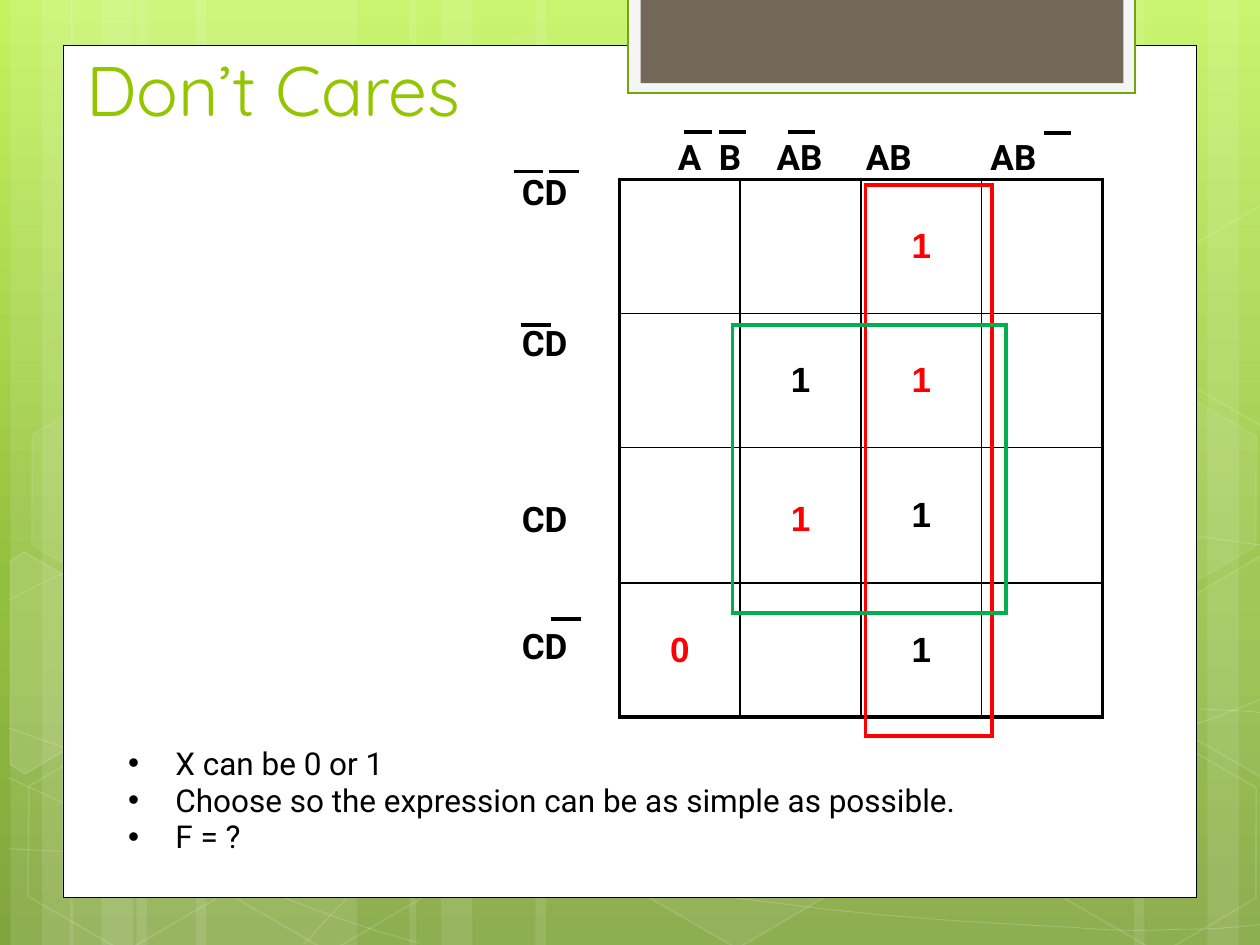
import math
from copy import deepcopy

from lxml import etree
from pptx import Presentation
from pptx import util as u
from pptx.dml.color import RGBColor
from pptx.enum import shapes, text
from pptx.oxml import ns

HUES = {
    "white": "FFFFFF", "black": "000000", "red": "FF0000", "green": "00B050",
    "lime": "94C600", "edge": "74A510", "pale": "F5F5F5", "taupe": "71685A",
    "top": "C3F35F", "mid": "93BF3F", "low": "81A53E",
}
STRIPS = [
    (78, 126), (6, 36), (24, 60), (112, 126), (40, 36), (58, 60),
    (528, 126), (690, 36), (648, 60), (306, 222), (234, 36), (252, 60),
]
WAVES = [
    [(5, 485), (44, 487), (83, 489), (137, 488), (191, 487), (258, 486), (330, 479),
     (402, 472), (504, 458), (570, 444), (636, 431), (703, 409), (725, 397)],
    [(5, 343), (26, 332), (47, 321), (87, 310), (128, 299), (186, 284), (250, 279),
     (314, 274), (391, 273), (471, 279), (550, 284), (682, 307), (725, 312)],
    [(4, 444), (91, 484), (178, 523), (240, 539)],
    [(5, 416), (27, 424), (50, 432), (92, 444), (134, 455), (197, 472), (257, 485),
     (317, 497), (392, 510), (452, 517), (512, 525), (576, 528), (614, 530),
     (652, 533), (662, 531), (680, 531), (698, 531), (712, 529), (725, 528)],
    [(174, 539), (187, 525), (200, 510), (217, 498), (235, 485), (259, 470), (279, 460),
     (300, 450), (312, 446), (338, 438), (364, 431), (413, 421), (438, 416),
     (464, 411), (467, 411), (490, 410), (512, 407), (547, 405), (572, 405),
     (597, 404), (638, 405), (638, 405), (654, 405), (670, 405), (686, 405),
     (699, 406), (711, 406), (718, 407), (724, 408), (722, 407), (724, 408)],
]
HEXES = [
    (240, 26, 4, 8), (358, 424, 6, 12), (8, 426, 0, 12), (10, 225, 7, 8),
    (125, 426, 0, 12), (542, 326, 10, 12), (600, 427, 0, 12), (600, 226, 7, 8),
]
LEFT = [(6, 320.4), (13.7, 315.4), (69.1, 347), (68.4, 410.4), (14.4, 442.1), (5.8, 437)]
RIGHT = [(666.7, 349.2), (720.7, 317.5), (726.5, 321.1), (726.5, 441.4),
         (721.4, 444.2), (666.7, 412.6)]
MARKS = {
    (0, 2): ("1", "red"), (1, 1): ("1", "black"), (1, 2): ("1", "red"),
    (2, 1): ("1", "red"), (2, 2): ("1", "black"),
    (3, 0): ("0", "red"), (3, 2): ("1", "black"),
}
BARS = [
    (391, 407, 75.6), (411, 426.5, 75.6), (450, 466, 75.6), (596.8, 612, 76),
    (293.8, 310.3, 98), (314, 331, 98), (297.5, 315, 185.8), (315, 332, 353.5),
]
NOTES = ["X can be 0 or 1", "Choose so the expression can be as simple as possible.", "F = ?"]


def hue(name):
    return RGBColor.from_string(HUES[name])


def paint(shape, fill=None, line=None, width=1, fade=100, dim=100):
    shape.shadow.inherit = False
    if fill:
        shape.fill.solid()
        shape.fill.fore_color.rgb = hue(fill)
    else:
        shape.fill.background()
    if line:
        shape.line.color.rgb = hue(line)
        shape.line.width = u.Pt(width)
        etree.SubElement(shape.line._get_or_add_ln(), ns.qn("a:miter"), lim="800000")
    else:
        shape.line.fill.background()
    props = shape._element.spPr
    for route, share in (("a:solidFill/a:srgbClr", fade), ("a:ln/a:solidFill/a:srgbClr", dim)):
        for tint in props.xpath(route):
            if share < 100:
                etree.SubElement(tint, ns.qn("a:alpha"), val=str(share * 1000))


def block(slide, box, kind=shapes.MSO_SHAPE.RECTANGLE, **look):
    shape = slide.shapes.add_shape(kind, *map(u.Pt, box))
    paint(shape, **look)
    return shape


def outline(slide, spots, close, **look):
    ends = [(u.Pt(x), u.Pt(y)) for x, y in spots]
    pen = slide.shapes.build_freeform(*ends[0], scale=1.0)
    pen.add_line_segments(ends[1:], close=close)
    shape = pen.convert_to_shape()
    paint(shape, line="white", **look)
    return shape


def wave(slide, spots):
    shape = outline(slide, spots, False, width=0.5, dim=20)
    track = shape._element.find(".//" + ns.qn("a:path"))
    legs = track.findall(ns.qn("a:lnTo"))
    for i in range(0, len(legs), 3):
        curve = etree.SubElement(track, ns.qn("a:cubicBezTo"))
        for leg in legs[i:i + 3]:
            curve.append(leg[0])
            track.remove(leg)


def shard(slide, spots, mid, **look):
    cos, sin = math.cos(math.pi / 6), math.sin(math.pi / 6)
    gaps = [(x - mid[0], y - mid[1]) for x, y in spots]
    flat = [(mid[0] + x * cos + y * sin, mid[1] - x * sin + y * cos) for x, y in gaps]
    outline(slide, flat, True, dim=12, **look).rotation = 30


def style(para, size, face="Roboto", tone="black", bold=False):
    for run in para.runs:
        run.font.size = u.Pt(size)
        run.font.name = face
        run.font.bold = bold
        run.font.color.rgb = hue(tone)


def scene(slide):
    fill = slide.background.fill
    fill.gradient()
    fill.gradient_angle = 270
    stops = slide._element.find(".//" + ns.qn("a:gsLst"))
    stops.append(deepcopy(stops[0]))
    for stop, (name, place) in zip(fill.gradient_stops, (("top", 0), ("mid", 0.62), ("low", 1))):
        stop.color.rgb = hue(name)
        stop.position = place
    for x, wide in STRIPS:
        block(slide, (x, 0, wide, 540), fill="white", fade=10)
    for spots in WAVES:
        wave(slide, spots)
    for x, y, fade, dim in HEXES:
        shape = block(slide, (x, y, 126, 109.5), shapes.MSO_SHAPE.HEXAGON,
                      fill="white" if fade else None, line="white", fade=fade, dim=dim)
        shape.adjustments[0] = 0.285
        shape.adjustments[1] = 1.155
        shape.rotation = 30
    shard(slide, LEFT, (25.9, 385.2), fill="white", fade=10)
    shard(slide, RIGHT, (709.2, 374.4), fill="white", fade=4)
    shard(slide, [(x, y - 200.5) for x, y in RIGHT], (709.2, 173.5))
    block(slide, (36, 25.75, 648, 487.2), fill="white", line="black", width=0.5)
    block(slide, (359, -1.4, 289.5, 54.5), fill="pale", line="edge", width=1.25)
    block(slide, (366, -1.4, 276, 48.9), fill="taupe")


def frame(cell, widths):
    props = cell._tc.get_or_add_tcPr()
    for i, (side, width) in enumerate(zip("LRTB", widths)):
        line = etree.Element(ns.qn("a:ln" + side), w=str(u.Pt(width)))
        tint = etree.SubElement(line, ns.qn("a:solidFill"))
        etree.SubElement(tint, ns.qn("a:srgbClr"), val=HUES["black"])
        props.insert(i, line)


def grid(slide):
    box = map(u.Pt, (354, 102.7, 276, 307))
    table = slide.shapes.add_table(4, 4, *box).table
    table.first_row = table.horz_banding = False
    for i, tall in enumerate((76.5, 76.5, 77.5, 76.5)):
        table.columns[i].width = u.Pt(69)
        table.rows[i].height = u.Pt(tall)
    for r in range(4):
        for c in range(4):
            cell = table.cell(r, c)
            cell.fill.background()
            frame(cell, [2.25 if rim else 1 for rim in (c == 0, c == 3, r == 0, r == 3)])
            if (r, c) in MARKS:
                mark, tone = MARKS[r, c]
                cell.text_frame.text = mark
                cell.vertical_anchor = text.MSO_ANCHOR.MIDDLE
                para = cell.text_frame.paragraphs[0]
                para.alignment = text.PP_ALIGN.CENTER
                style(para, 20, "Arial", tone, True)
    table.cell(2, 1).margin_top = u.Pt(8.2)


def label(slide, box, words):
    body = slide.shapes.add_textbox(*map(u.Pt, box)).text_frame
    body.word_wrap = True
    body.text = words
    return body.paragraphs


def heads(slide):
    para = label(slide, (380.2, 73.8, 240, 31.5), "A\tB\tAB\tAB\tAB")[0]
    tabs = etree.SubElement(para._p.get_or_add_pPr(), ns.qn("a:tabLst"))
    for stop in (23.5, 56.5, 107.5, 178.7):
        etree.SubElement(tabs, ns.qn("a:tab"), pos=str(u.Pt(stop)), algn="l")
    style(para, 20, bold=True)
    rows = label(slide, (291.1, 102.2, 62.6, 284), "\n".join(["CD"] * 4))
    for para, gap in zip(rows, (0, 72.2, 86, 58)):
        para.line_spacing = 0.6
        para.space_before = u.Pt(gap)
        style(para, 20, bold=True)


def bar(slide, x, end, y):
    line = slide.shapes.add_connector(shapes.MSO_CONNECTOR.STRAIGHT, *map(u.Pt, (x, y, end, y)))
    line.line.color.rgb = hue("black")
    line.line.width = u.Pt(2.25)
    etree.SubElement(line._element.spPr, ns.qn("a:effectLst"))


def place(slide, holder, box, words, anchor):
    slide.shapes._spTree.append(holder._element)
    holder.left, holder.top, holder.width, holder.height = map(u.Pt, box)
    body = holder.text_frame
    body.text = words
    body.word_wrap = True
    body.auto_size = text.MSO_AUTO_SIZE.NONE
    body.vertical_anchor = anchor
    return body.paragraphs


def notes(slide, holder):
    paras = place(slide, holder, (66, 425.9, 552, 77.8), "\n".join(NOTES), text.MSO_ANCHOR.TOP)
    for i, para in enumerate(paras):
        props = para._p.get_or_add_pPr()
        props.set("marL", str(u.Pt(27)))
        props.set("indent", str(u.Pt(-27)))
        etree.SubElement(props, ns.qn("a:buChar"), char="•")
        para.line_spacing = 0.8
        para.space_before = u.Pt(3.6 if i else 0)
        style(para, 18)


def main():
    deck = Presentation()
    deck.slide_width, deck.slide_height = u.Pt(720), u.Pt(540)
    slide = deck.slides.add_slide(deck.slide_layouts[1])
    title, body = slide.placeholders
    scene(slide)
    grid(slide)
    heads(slide)
    for spot in BARS:
        bar(slide, *spot)
    notes(slide, body)
    block(slide, (494.6, 105.8, 72.3, 314.6), line="red", width=2.25)
    block(slide, (418.6, 185.8, 156.2, 164.4), line="green", width=2.25)
    para = place(slide, title, (42, -12, 553, 90), "Don’t Cares", text.MSO_ANCHOR.BOTTOM)[0]
    para.alignment = text.PP_ALIGN.LEFT
    style(para, 40, "Quicksand", "lime")
    deck.save("out.pptx")


if __name__ == "__main__":
    main()
